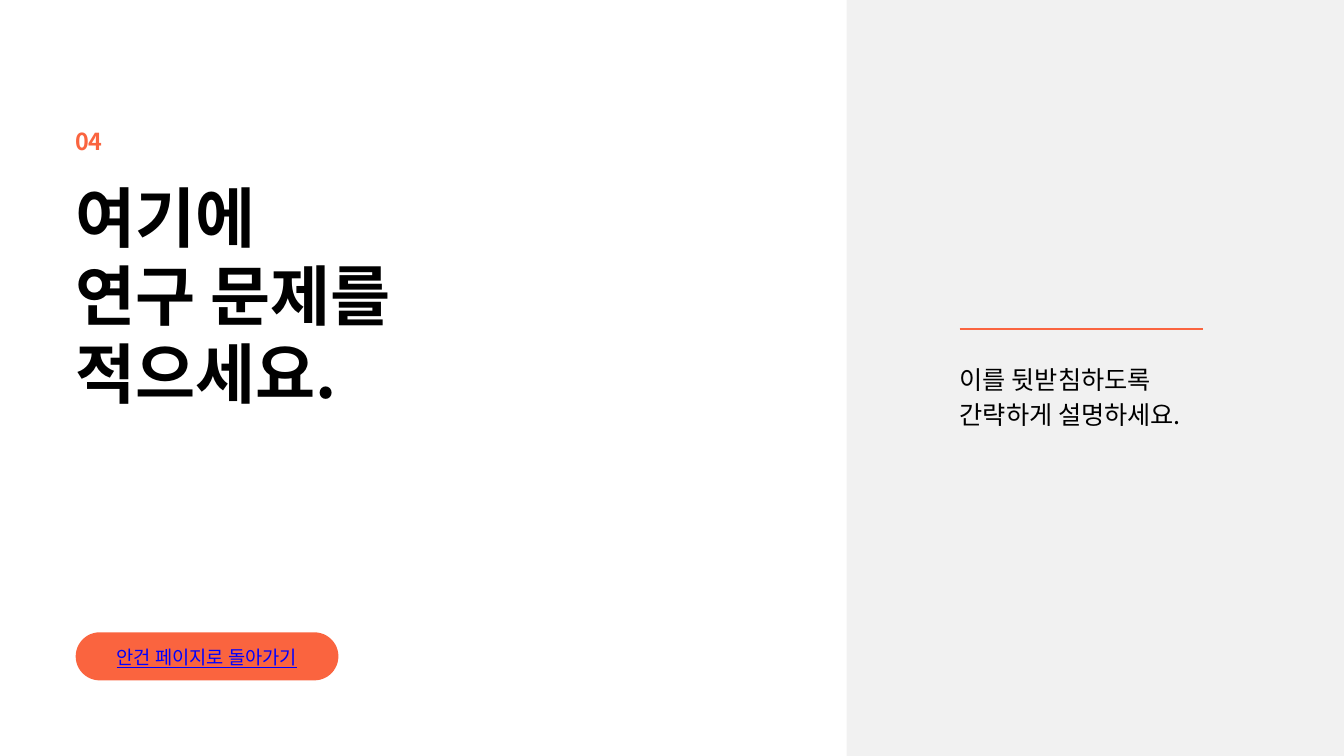
from lxml import etree
from pptx import Presentation
from pptx.dml.color import RGBColor
from pptx.enum.shapes import MSO_CONNECTOR, MSO_SHAPE
from pptx.enum.text import MSO_AUTO_SIZE, PP_ALIGN
from pptx.oxml.ns import qn
from pptx.util import Inches, Pt

RECTANGLE = MSO_SHAPE.RECTANGLE
ROUNDED = MSO_SHAPE.ROUNDED_RECTANGLE
STRAIGHT = MSO_CONNECTOR.STRAIGHT
LEFT, CENTER = PP_ALIGN.LEFT, PP_ALIGN.CENTER

FONT = "Noto Sans CJK KR"
COLORS = {"panel": "F1F1F1", "accent": "FA643F", "text": "000000", "link": "0000FF"}
WIDTH, HEIGHT = Inches(20), Inches(11.25)

# Areas are left, top, width and height in percent of the slide.
PANEL = (63, 0, 37, 100)
BUTTON = (5.63, 83.64, 19.55, 6.36)
RULE = (71.4, 43.56, 18.1, 0)
TEXTS = [
    {"area": (7.4, 84.98, 16, 3.29), "lines": ["안건 페이지로 돌아가기"],
     "size": 20, "leading": 28, "color": "link", "align": CENTER, "underline": True},
    {"area": (5.6, 23.38, 47, 30.84), "lines": ["여기에", "연구 문제를", "적으세요."],
     "size": 70, "leading": 84, "color": "text", "bold": True},
    {"area": (5.6, 17.07, 3.1, 3.56), "lines": ["04"],
     "size": 25, "leading": 27.5, "color": "accent", "bold": True},
    {"area": (71.4, 47.47, 18.1, 8.98), "lines": ["이를 뒷받침하도록", "간략하게 설명하세요."],
     "size": 27, "leading": 37.8, "color": "text"},
]


def place(area):
    return [round(share * length / 100)
            for share, length in zip(area, (WIDTH, HEIGHT, WIDTH, HEIGHT))]


def color(name):
    return RGBColor.from_string(COLORS[name])


def add_block(slide, kind, area, fill):
    shape = slide.shapes.add_shape(kind, *place(area))
    shape.shadow.inherit = False
    shape.fill.solid()
    shape.fill.fore_color.rgb = color(fill)
    shape.line.fill.background()
    return shape


def add_rule(slide, area):
    left, top, width, height = place(area)
    rule = slide.shapes.add_connector(STRAIGHT, left, top, left + width, top + height)
    rule.line.color.rgb = color("accent")
    rule.line.width = Pt(2)
    etree.SubElement(rule._element.spPr, qn("a:effectLst"))


def add_text(slide, text):
    frame = slide.shapes.add_textbox(*place(text["area"])).text_frame
    frame.margin_left = frame.margin_right = frame.margin_top = frame.margin_bottom = 0
    frame.word_wrap = True
    frame.auto_size = MSO_AUTO_SIZE.SHAPE_TO_FIT_TEXT
    for index, line in enumerate(text["lines"]):
        paragraph = frame.add_paragraph() if index else frame.paragraphs[0]
        paragraph.alignment = text.get("align", LEFT)
        paragraph.line_spacing = Pt(text["leading"])
        run = paragraph.add_run()
        run.text = line
        font = run.font
        font.name = FONT
        font.size = Pt(text["size"])
        font.bold = text.get("bold", False)
        font.underline = text.get("underline", False)
        font.color.rgb = color(text["color"])
        etree.SubElement(run._r.get_or_add_rPr(), qn("a:ea"), typeface=FONT)


def main():
    presentation = Presentation()
    presentation.slide_width, presentation.slide_height = WIDTH, HEIGHT
    slide = presentation.slides.add_slide(presentation.slide_layouts[6])
    add_block(slide, RECTANGLE, PANEL, "panel")
    button = add_block(slide, ROUNDED, BUTTON, "accent")
    button.adjustments[0] = 0.5
    for text in TEXTS:
        add_text(slide, text)
    add_rule(slide, RULE)
    presentation.save("out.pptx")


if __name__ == "__main__":
    main()
